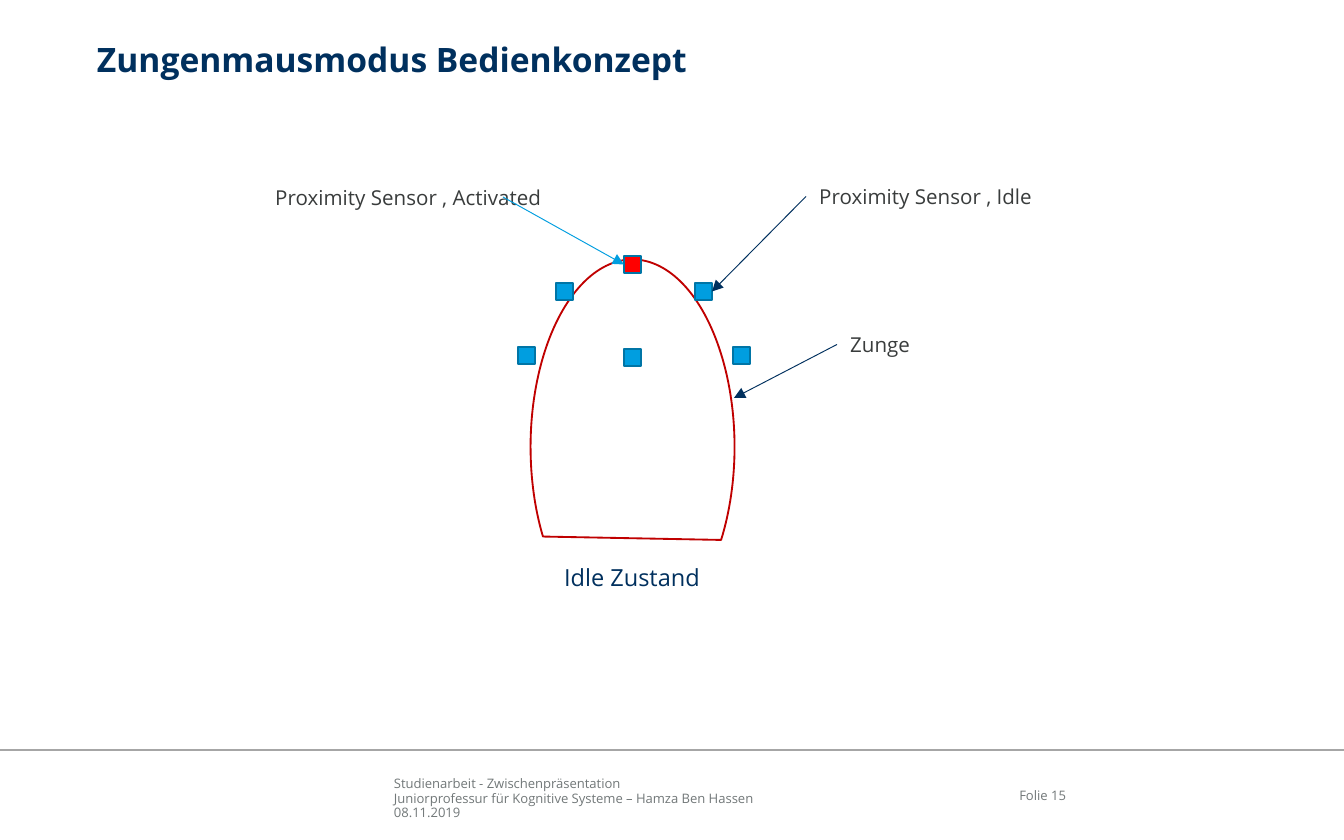
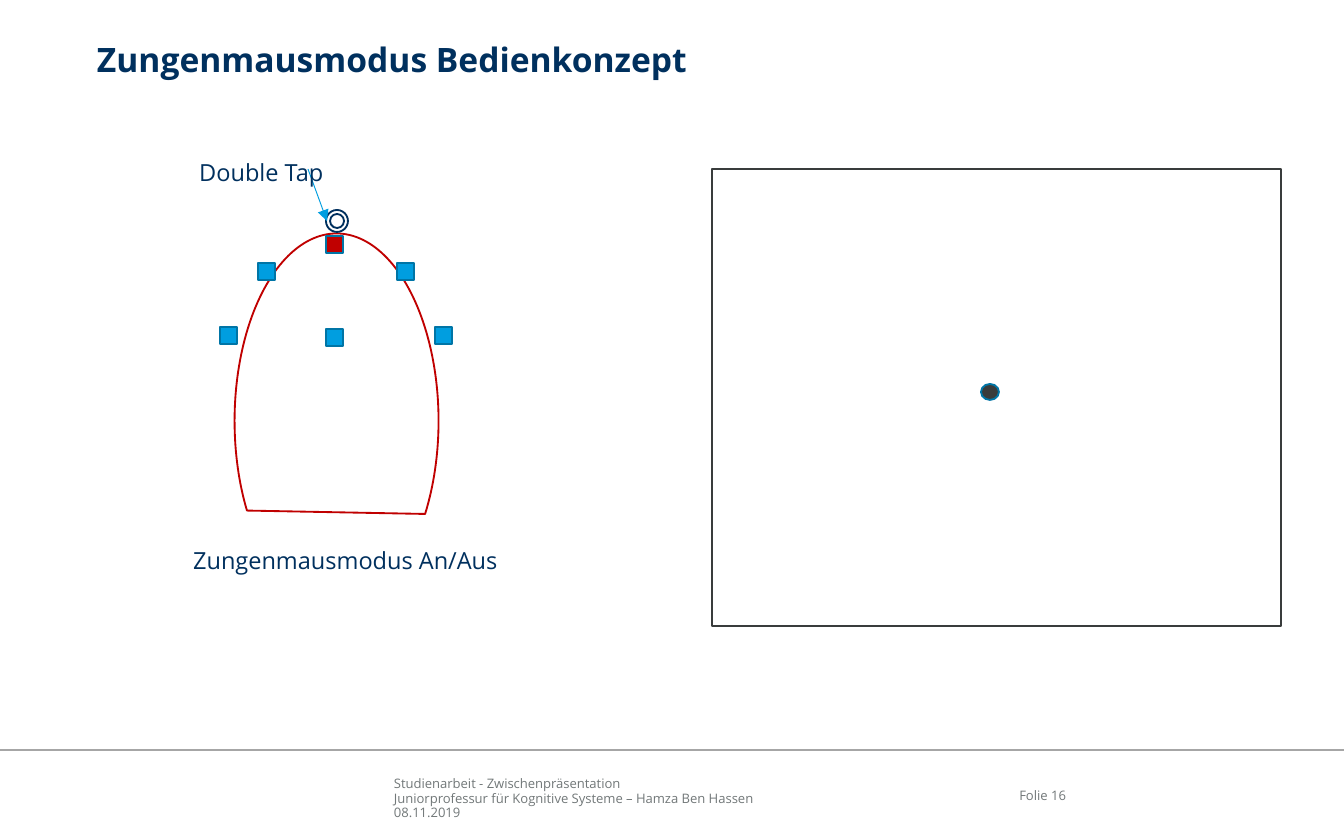
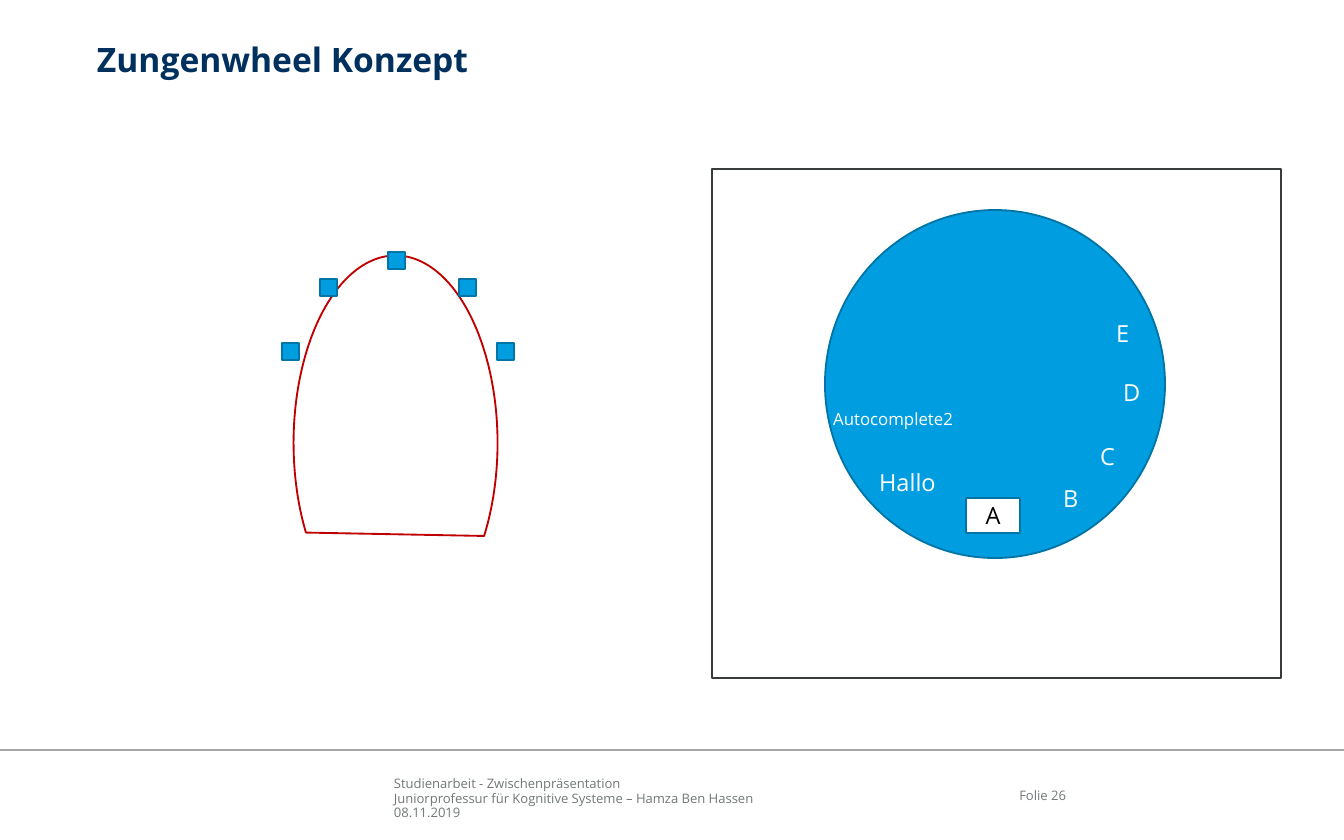
from dataclasses import dataclass
from typing import NamedTuple, Optional

from lxml.etree import SubElement
from pptx import Presentation
from pptx.dml.color import RGBColor
from pptx.enum.shapes import MSO_CONNECTOR, MSO_SHAPE as Preset
from pptx.enum.text import MSO_ANCHOR as Anchor, PP_ALIGN as Align
from pptx.oxml.ns import qn
from pptx.shapes.autoshape import Shape
from pptx.shapes.connector import Connector
from pptx.slide import Slide
from pptx.util import Emu, Pt

EMU_PER_PX = 914400 / 134.4
LEFT, RIGHT = 1, 3


@dataclass(frozen=True)
class Theme:
    """Colours, font and type sizes shared by all slides."""
    font: str = "Open Sans"
    navy: str = "00305E"
    blue: str = "009EE0"
    blue_edge: str = "0075A6"
    charcoal: str = "393C3C"
    footer_gray: str = "727879"
    rule_gray: str = "A6A6A6"
    tongue_red: str = "C00000"
    alert_red: str = "FF0000"
    white: str = "FFFFFF"
    black: str = "000000"
    title_size: float = 18
    body_size: float = 12.6
    label_size: float = 11
    small_size: float = 9
    footer_size: float = 7
    outline: float = 1
    arrow: float = 0.5


class Box(NamedTuple):
    """Left, top, width and height in px."""
    left: int
    top: int
    width: int
    height: int


class Point(NamedTuple):
    """A place in px."""
    x: int
    y: int


class Label(NamedTuple):
    """A text with its box, size and colour."""
    text: str
    box: Box
    size: float
    color: str


THEME = Theme()
SLIDE_SIZE = Point(1344, 840)
SENSOR_SIDE = 17
SENSOR_OFFSETS = (Point(0, 0), Point(71, 27), Point(-68, 27),
                  Point(109, 91), Point(-106, 91), Point(0, 93))
FOOTER_LINES = ("Studienarbeit - Zwischenpräsentation",
                "Juniorprofessur für Kognitive Systeme – Hamza Ben Hassen",
                "08.11.2019")
WHEEL_LETTERS = {"B": Point(1050, 477), "C": Point(1087, 435),
                 "D": Point(1110, 371), "E": Point(1103, 312)}


def px(length: int) -> Emu:
    """Turn px into EMU."""
    return Emu(round(length * EMU_PER_PX))


def rgb(color: str) -> RGBColor:
    """Turn a hex string into a colour."""
    return RGBColor.from_string(color)


def write(shape: Shape, lines: tuple[str, ...], size: float, color: str,
          bold: bool = False, align: Align = Align.LEFT,
          spacing: float = 1.0) -> None:
    """Write one paragraph per line into a shape."""
    frame = shape.text_frame
    frame.word_wrap = True
    frame.text = "\n".join(lines)
    for paragraph in frame.paragraphs:
        paragraph.alignment = align
        paragraph.line_spacing = spacing
        font = paragraph.font
        font.name, font.size, font.bold = THEME.font, Pt(size), bold
        font.color.rgb = rgb(color)


def add_label(shapes, label: Label) -> Shape:
    """Add a text box with normal insets."""
    shape = shapes.add_textbox(*map(px, label.box))
    write(shape, (label.text,), label.size, label.color)
    return shape


def add_flush_text(slide: Slide, box: Box, lines: tuple[str, ...], size: float,
                   color: str, anchor: Anchor, bold: bool = False,
                   align: Align = Align.LEFT) -> None:
    """Add a text box without insets and with tight lines."""
    shape = slide.shapes.add_textbox(*map(px, box))
    frame = shape.text_frame
    frame.margin_left = frame.margin_right = 0
    frame.margin_top = frame.margin_bottom = 0
    frame.vertical_anchor = anchor
    write(shape, lines, size, color, bold, align, spacing=0.9)


def add_outlined(shapes, preset: Preset, box: Box, fill: str, line: str) -> Shape:
    """Add a filled preset shape with a thin outline."""
    shape = shapes.add_shape(preset, *map(px, box))
    shape.shadow.inherit = False
    shape.fill.solid()
    shape.fill.fore_color.rgb = rgb(fill)
    shape.line.color.rgb = rgb(line)
    shape.line.width = Pt(THEME.outline)
    return shape


def add_line(slide: Slide, start: Point, end: Point, color: str, width: float,
             arrow: bool = False) -> Connector:
    """Add a straight line, with an arrowhead at its end if asked."""
    connector = slide.shapes.add_connector(
        MSO_CONNECTOR.STRAIGHT, *map(px, (*start, *end)))
    connector.line.color.rgb = rgb(color)
    connector.line.width = Pt(width)
    properties = connector.element.spPr
    if arrow:
        SubElement(properties.find(qn("a:ln")), qn("a:tailEnd"), type="triangle")
    SubElement(properties, qn("a:effectLst"))
    return connector


def add_slide(presentation, title: str, number: int) -> Slide:
    """Add a slide with its title, footer rule and footer."""
    slide = presentation.slides.add_slide(presentation.slide_layouts[6])
    add_flush_text(slide, Box(394, 773, 573, 47), FOOTER_LINES,
                   THEME.footer_size, THEME.footer_gray, Anchor.BOTTOM)
    add_line(slide, Point(0, 750), Point(SLIDE_SIZE.x, 750),
             THEME.rule_gray, THEME.outline)
    add_flush_text(slide, Box(988, 773, 78, 47), (f"Folie {number}",),
                   THEME.footer_size, THEME.footer_gray, Anchor.MIDDLE,
                   align=Align.RIGHT)
    add_flush_text(slide, Box(97, 43, 1167, 83), (title,), THEME.title_size,
                   THEME.navy, Anchor.TOP, bold=True)
    return slide


def add_tongue(slide: Slide, corner: Point, tip: Point, sensor_count: int,
               active_color: Optional[str] = None) -> list[Shape]:
    """Add the tongue outline and its sensors, the tip sensor first."""
    tongue = add_outlined(slide.shapes, Preset.CHORD, Box(*corner, 375, 204),
                          THEME.white, THEME.tongue_red)
    tongue.rotation = 90
    tongue.adjustments[0] = 27
    tongue.adjustments[1] = 189.84
    group = slide.shapes.add_group_shape()
    sensors = []
    for index, offset in enumerate(SENSOR_OFFSETS[:sensor_count]):
        box = Box(tip.x + offset.x, tip.y + offset.y, SENSOR_SIDE, SENSOR_SIDE)
        fill = active_color if active_color and index == 0 else THEME.blue
        sensors.append(add_outlined(group.shapes, Preset.RECTANGLE, box, fill,
                                    THEME.blue_edge))
    return sensors


def add_screen(slide: Slide, height: int) -> None:
    """Add the outlined screen on the right."""
    add_outlined(slide.shapes, Preset.RECTANGLE, Box(712, 169, 569, height),
                 THEME.white, THEME.charcoal)


def build_idle_slide(presentation) -> None:
    """Show the idle state with labelled sensors."""
    slide = add_slide(presentation, "Zungenmausmodus Bedienkonzept", 15)
    tip_sensor, right_sensor, *_ = add_tongue(
        slide, Point(445, 345), Point(624, 256), 6, THEME.alert_red)
    add_label(slide.shapes, Label("Idle Zustand", Box(551, 556, 308, 42),
                                  THEME.body_size, THEME.navy))
    idle, tongue, _ = [
        add_label(slide.shapes, Label(text, box, THEME.label_size, THEME.charcoal))
        for text, box in (
            ("Proximity Sensor , Idle", Box(806, 177, 270, 39)),
            ("Zunge", Box(837, 325, 238, 39)),
            ("Proximity Sensor , Activated", Box(262, 178, 296, 39)))]
    idle_arrow = add_line(slide, Point(806, 197), Point(712, 291),
                          THEME.navy, THEME.arrow, arrow=True)
    idle_arrow.begin_connect(idle, LEFT)
    idle_arrow.end_connect(right_sensor, RIGHT)
    tongue_arrow = add_line(slide, Point(837, 344), Point(734, 398),
                            THEME.navy, THEME.arrow, arrow=True)
    tongue_arrow.begin_connect(tongue, LEFT)
    active_arrow = add_line(slide, Point(503, 197), Point(624, 264),
                            THEME.blue, THEME.arrow, arrow=True)
    active_arrow.end_connect(tip_sensor, LEFT)


def build_double_tap_slide(presentation) -> None:
    """Show how a double tap switches the mode."""
    slide = add_slide(presentation, "Zungenmausmodus Bedienkonzept", 16)
    add_tongue(slide, Point(149, 319), Point(326, 236), 6, THEME.tongue_red)
    add_label(slide.shapes, Label("Zungenmausmodus An/Aus", Box(180, 539, 356, 42),
                                  THEME.body_size, THEME.navy))
    rings = slide.shapes.add_group_shape()
    for box in (Box(326, 210, 22, 22), Box(330, 214, 14, 14)):
        add_outlined(rings.shapes, Preset.OVAL, box, THEME.white, THEME.navy)
    add_line(slide, Point(308, 169), Point(327, 221), THEME.blue, THEME.arrow,
             arrow=True)
    add_label(slide.shapes, Label("Double Tap", Box(186, 151, 172, 37),
                                  THEME.body_size, THEME.navy))
    add_screen(slide, 457)
    add_outlined(slide.shapes, Preset.OVAL, Box(981, 384, 18, 16),
                 THEME.charcoal, THEME.blue_edge)


def build_wheel_slide(presentation) -> None:
    """Show the letter wheel next to the tongue."""
    slide = add_slide(presentation, "Zungenwheel Konzept", 26)
    add_tongue(slide, Point(208, 341), Point(388, 252), 5)
    add_screen(slide, 509)
    wheel = slide.shapes.add_group_shape()
    add_outlined(wheel.shapes, Preset.OVAL, Box(825, 210, 340, 348),
                 THEME.blue, THEME.blue_edge)
    add_label(wheel.shapes, Label("Autocomplete2", Box(820, 402, 207, 34),
                                  THEME.small_size, THEME.white))
    for letter, corner in WHEEL_LETTERS.items():
        add_label(wheel.shapes, Label(letter, Box(*corner, 62, 42),
                                      THEME.body_size, THEME.white))
    add_label(wheel.shapes, Label("Hallo", Box(866, 461, 91, 42),
                                  THEME.body_size, THEME.white))
    selected = add_outlined(slide.shapes, Preset.RECTANGLE, Box(966, 498, 54, 35),
                            THEME.white, THEME.blue_edge)
    selected.text_frame.vertical_anchor = Anchor.MIDDLE
    write(selected, ("A",), THEME.body_size, THEME.black, align=Align.CENTER)


def main() -> None:
    """Build and save the presentation."""
    presentation = Presentation()
    presentation.slide_width, presentation.slide_height = map(px, SLIDE_SIZE)
    build_idle_slide(presentation)
    build_double_tap_slide(presentation)
    build_wheel_slide(presentation)
    presentation.save("out.pptx")


if __name__ == "__main__":
    main()
